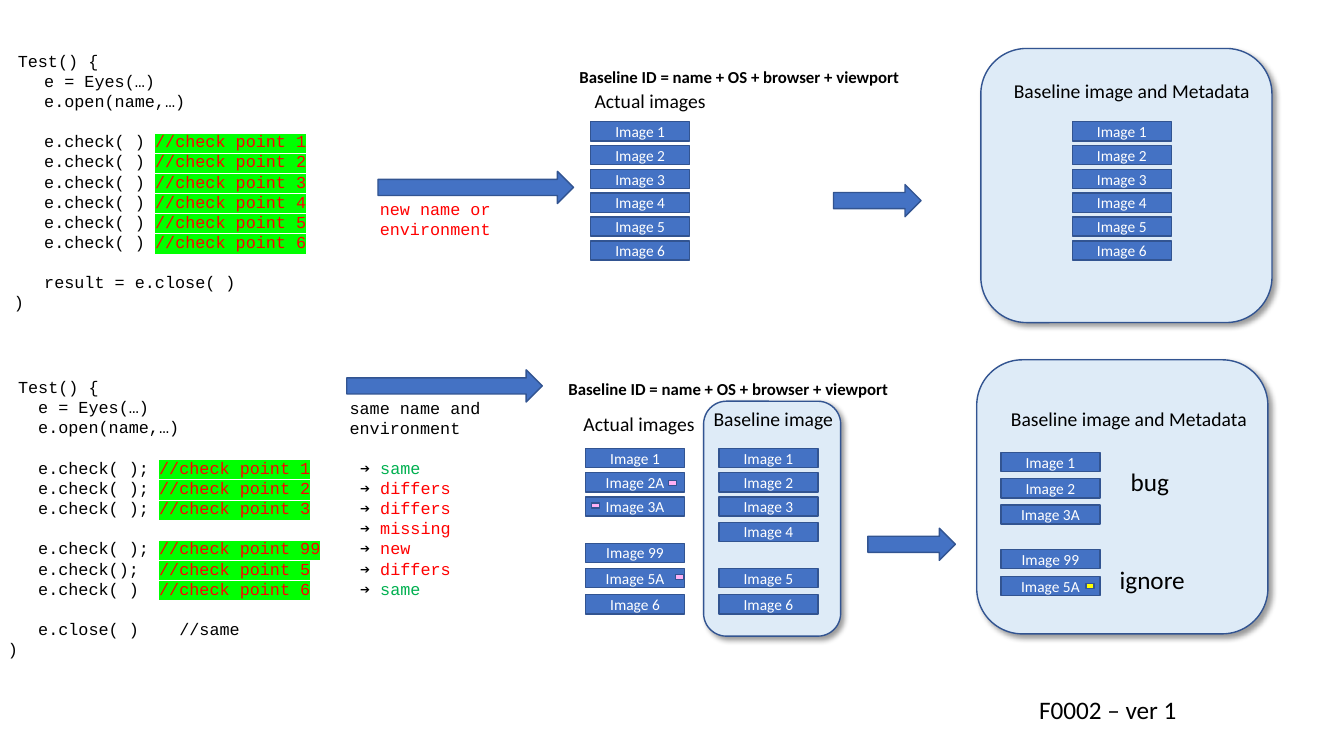
from dataclasses import dataclass

import pptx
import pptx.dml.color
import pptx.enum.shapes
import pptx.enum.text
import pptx.oxml
import pptx.oxml.ns
import pptx.util
from lxml import etree

RGBColor = pptx.dml.color.RGBColor
Pt = pptx.util.Pt
Shape = pptx.enum.shapes.MSO_SHAPE

BLACK = RGBColor(0, 0, 0)
WHITE = RGBColor(255, 255, 255)
RED = RGBColor(255, 0, 0)
GREEN = RGBColor(0, 0xB0, 0x50)
BLUE = RGBColor(0x44, 0x72, 0xC4)
OUTLINE = RGBColor(0x32, 0x54, 0x91)
PALE_BLUE = RGBColor(0xDE, 0xEB, 0xF7)
PINK = RGBColor(0xFE, 0xB0, 0xF3)
YELLOW = RGBColor(255, 255, 0)
HIGHLIGHT = RGBColor(0, 255, 0)

SANS, MONO = "Calibri", "Courier New"
CODE_LINE = 14.4
COMMENT_STOP, RESULT_STOP, REMARK_STOP = 108, 251.5, 122.4
TILE_WIDTH, TILE_HEIGHT = 70.6, 13.7


@dataclass
class Figure:
    kind: Shape
    left: float
    top: float
    width: float
    height: float
    fill: RGBColor = BLUE
    shadow: bool = False


@dataclass
class Stack:
    left: float
    tops: list[float]
    names: list[str]


@dataclass
class Label:
    left: float
    top: float
    width: float
    height: float
    lines: list[str]
    size: float = 14
    font: str = SANS
    color: RGBColor = BLACK
    bold: bool = False


@dataclass
class Span:
    text: str
    color: RGBColor = BLACK
    marked: bool = False
    font: str | None = None


@dataclass
class CodeLine:
    spans: list[Span]
    gap: bool = False
    stops: tuple[float, ...] = ()


def draw_figure(page, figure: Figure):
    shape = page.shapes.add_shape(
        figure.kind, Pt(figure.left), Pt(figure.top), Pt(figure.width), Pt(figure.height))
    shape.shadow.inherit = False
    shape.fill.solid()
    shape.fill.fore_color.rgb = figure.fill
    shape.line.color.rgb = OUTLINE
    shape.line.width = Pt(1)
    if figure.shadow:
        effects = shape._element.spPr.find(pptx.oxml.ns.qn("a:effectLst"))
        effects.append(pptx.oxml.parse_xml(
            f'<a:outerShdw {pptx.oxml.ns.nsdecls("a")} blurRad="50800" dist="38100" '
            'dir="2700000" algn="tl" rotWithShape="0"><a:srgbClr val="000000">'
            '<a:alpha val="40000"/></a:srgbClr></a:outerShdw>'))
    return shape


def draw_stack(page, stack: Stack) -> None:
    for top, name in zip(stack.tops, stack.names):
        if not name:
            continue
        tile = draw_figure(
            page, Figure(Shape.RECTANGLE, stack.left, top, TILE_WIDTH, TILE_HEIGHT))
        frame = tile.text_frame
        frame.margin_top = frame.margin_bottom = 0
        frame.vertical_anchor = pptx.enum.text.MSO_ANCHOR.MIDDLE
        para = frame.paragraphs[0]
        para.text = name
        para.alignment = pptx.enum.text.PP_ALIGN.CENTER
        set_font(para.font, 11, SANS, WHITE)


def set_font(font, size: float, name: str, color: RGBColor, bold: bool = False) -> None:
    font.size = Pt(size)
    font.name = name
    font.color.rgb = color
    font.bold = bold


def draw_label(page, label: Label) -> None:
    box = page.shapes.add_textbox(
        Pt(label.left), Pt(label.top), Pt(label.width), Pt(label.height))
    frame = box.text_frame
    frame.word_wrap = False
    frame.auto_size = pptx.enum.text.MSO_AUTO_SIZE.SHAPE_TO_FIT_TEXT
    for index, line in enumerate(label.lines):
        para = frame.add_paragraph() if index else frame.paragraphs[0]
        para.text = line
        set_font(para.font, label.size, label.font, label.color, label.bold)


def draw_code(page, left: float, top: float, width: float, height: float,
              lines: list[CodeLine]) -> None:
    box = page.shapes.add_textbox(Pt(left), Pt(top), Pt(width), Pt(height))
    frame = box.text_frame
    frame.word_wrap = True
    qn = pptx.oxml.ns.qn
    for index, line in enumerate(lines):
        para = frame.add_paragraph() if index else frame.paragraphs[0]
        if line.gap:
            para.space_before = Pt(CODE_LINE)
        if line.stops:
            tabs = etree.SubElement(para._p.get_or_add_pPr(), qn("a:tabLst"))
            for stop in line.stops:
                etree.SubElement(tabs, qn("a:tab"), pos=str(Pt(stop)), algn="l")
        para.font.size = Pt(12)
        para.font.name = MONO
        for span in line.spans:
            run = para.add_run()
            run.text = span.text
            run.font.color.rgb = span.color
            if span.font:
                run.font.name = span.font
            if span.marked:
                mark = etree.SubElement(run._r.get_or_add_rPr(), qn("a:highlight"))
                etree.SubElement(mark, qn("a:srgbClr"), val=str(HIGHLIGHT))


def plain(text: str, gap: bool = False) -> CodeLine:
    return CodeLine([Span(text)], gap)


def check(call: str, point: int, result: str = "", gap: bool = False) -> CodeLine:
    spans = [Span(call), Span(f"//check point {point}", RED, True)]
    if not result:
        return CodeLine(spans, gap)
    spans += [Span("\t➔ "), Span(result, GREEN if result == "same" else RED)]
    return CodeLine(spans, gap, (COMMENT_STOP, RESULT_STOP))


OPENING = [plain("   e = Eyes(…)"), plain("   e.open(name,…)")]
FIRST_TEST = [
    CodeLine([Span(" ", font=SANS), Span("Test() {")]), *OPENING,
    *[check("   e.check( ) ", point, gap=point == 1) for point in range(1, 7)],
    plain("   result = e.close( )", gap=True), plain(")")]
SECOND_TEST = [
    plain(" Test() {"), *OPENING,
    check("   e.check( );\t", 1, "same", gap=True),
    check("   e.check( );\t", 2, "differs"),
    check("   e.check( );\t", 3, "differs"),
    CodeLine([Span("\t➔ "), Span("missing", RED)], stops=(RESULT_STOP,)),
    check("   e.check( );\t", 99, "new"),
    check("   e.check();\t", 5, "differs"),
    check("   e.check( )\t", 6, "same"),
    CodeLine([Span("   e.close( )\t//same")], True, (REMARK_STOP,)), plain(")")]

PANELS = [Figure(Shape.ROUNDED_RECTANGLE, *place, PALE_BLUE, True) for place in (
    (502.6, 286.6, 97.9, 167.8), (700.6, 34.6, 208, 195.8), (697.7, 257, 208, 195.8))]
ARROWS = [Figure(Shape.RIGHT_ARROW, left, top, width, 23) for left, top, width in (
    (270, 122.4, 139.7), (247.7, 264.2, 139.7), (595.4, 131.8, 62.6), (619.9, 377.3, 62.6))]
MARKERS = [Figure(Shape.RECTANGLE, left, top, 5.8, 3.6, fill) for left, top, fill in (
    (477.4, 343.4, PINK), (422.6, 359.3, PINK), (482.6, 410.4, PINK), (775.6, 416.9, YELLOW))]

SIX_IMAGES = [f"Image {number}" for number in range(1, 7)]
UPPER_TOPS = [87 + 17 * row for row in range(6)]
LOWER_TOPS = [320.4, 337.7, 355, 373, 388, 406, 424.8]
STACKS = [
    Stack(422, UPPER_TOPS, SIX_IMAGES),
    Stack(766, UPPER_TOPS, SIX_IMAGES),
    Stack(418.3, LOWER_TOPS,
          ["Image 1", "Image 2A", "Image 3A", "", "Image 99", "Image 5A", "Image 6"]),
    Stack(513.6, LOWER_TOPS, SIX_IMAGES[:4] + [""] + SIX_IMAGES[4:]),
    Stack(715, [323.3, 342, 360.7, 392.4, 411.8],
          ["Image 1", "Image 2", "Image 3A", "Image 99", "Image 5A"])]

BASELINE_ID = "Baseline ID = name + OS + browser + viewport"
LABELS = [
    *[Label(left, top, 246.2, 21.6, [BASELINE_ID], 12, bold=True)
      for left, top in ((406.8, 43.9), (398.9, 267.1))],
    *[Label(left, top, 95, 24.5, ["Actual images"])
      for left, top in ((417.6, 59.8), (409.7, 290.9))],
    *[Label(left, top, 185, 24.5, ["Baseline image and Metadata"])
      for left, top in ((717.1, 52.6), (715, 287.3))],
    Label(502.6, 287.3, 100.8, 24.5, ["Baseline image"]),
    Label(792.7, 399.6, 61.9, 28.8, ["ignore"], 18),
    Label(800.6, 329.8, 42.5, 28.8, ["bug"], 18),
    Label(735.1, 492.5, 113.8, 28.8, ["F0002 – ver 1"], 18),
    Label(264.2, 138.2, 95, 36, ["new name or", "environment"], 12, MONO, RED),
    Label(242.6, 280.8, 109.4, 36, ["same name and", "environment"], 12, MONO)]


def main() -> None:
    deck = pptx.Presentation()
    deck.slide_width, deck.slide_height = Pt(960), Pt(540)
    page = deck.slides.add_slide(deck.slide_layouts[6])
    for panel in PANELS:
        draw_figure(page, panel)
    draw_code(page, -1.4, 265.7, 378, 211, SECOND_TEST)
    draw_code(page, 2.9, 32.4, 226.8, 196.6, FIRST_TEST)
    for stack in STACKS:
        draw_stack(page, stack)
    for figure in MARKERS + ARROWS:
        draw_figure(page, figure)
    for label in LABELS:
        draw_label(page, label)
    deck.save("out.pptx")


if __name__ == "__main__":
    main()
